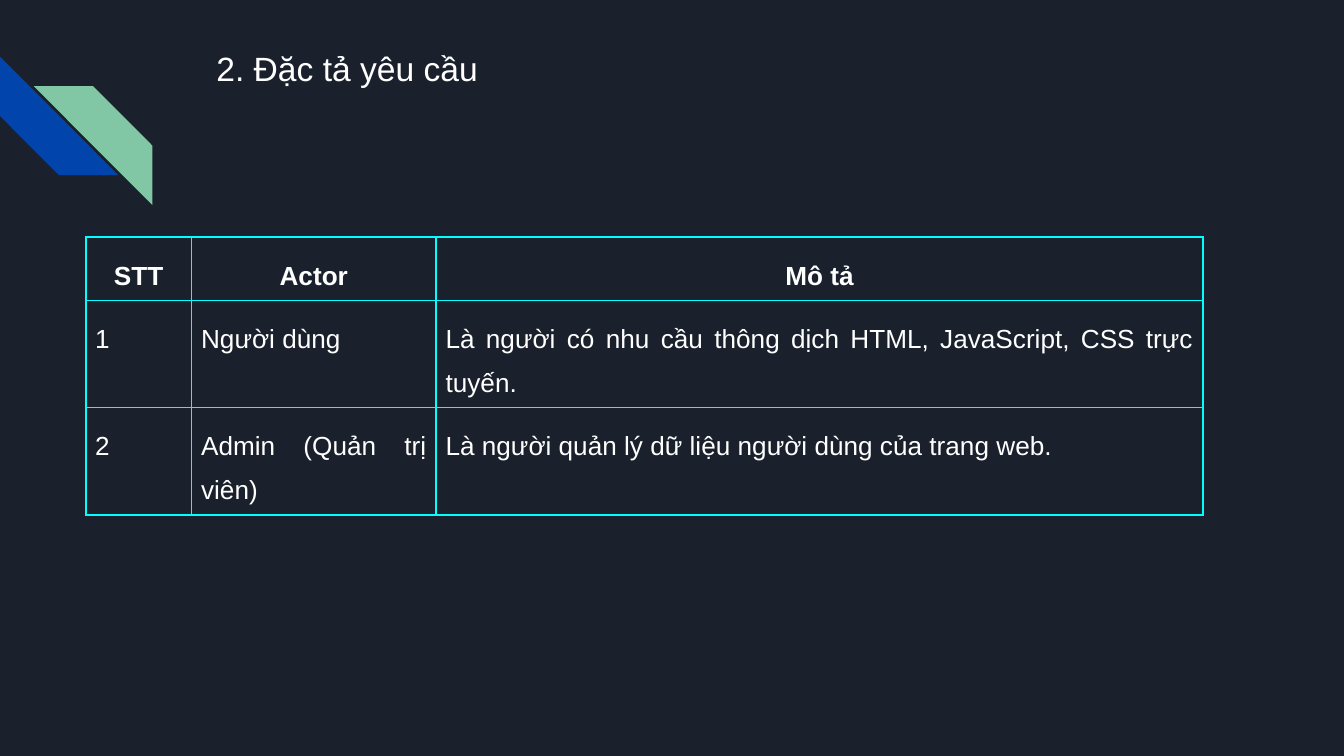
"""Build the requirements slide with its table of actors."""
from dataclasses import dataclass

from lxml import etree
from pptx import Presentation
from pptx.dml.color import RGBColor
from pptx.enum.shapes import MSO_SHAPE
from pptx.enum.text import MSO_ANCHOR, MSO_AUTO_SIZE, PP_ALIGN
from pptx.oxml.ns import qn
from pptx.util import Cm, Pt

STRIPE = MSO_SHAPE.DIAGONAL_STRIPE
TOP = MSO_ANCHOR.TOP
NO_AUTOFIT = MSO_AUTO_SIZE.NONE
LEFT, CENTER, JUSTIFY = PP_ALIGN.LEFT, PP_ALIGN.CENTER, PP_ALIGN.JUSTIFY


@dataclass(frozen=True)
class Theme:
    """Colours, font and type sizes of the slide."""
    background: str = "1B212C"
    text: str = "FFFFFF"
    blue: str = "0145AC"
    green: str = "82C7A5"
    border: str = "00FFFF"
    font: str = "Arial"
    title_size: int = 18
    table_size: int = 14
    border_width: int = 1


THEME = Theme()


def format_paragraph(paragraph, size, align, bold=False):
    """Apply the common font and the given alignment to a paragraph."""
    paragraph.alignment = align
    paragraph.font.name = THEME.font
    paragraph.font.size = Pt(size)
    paragraph.font.bold = bold
    paragraph.font.color.rgb = RGBColor.from_string(THEME.text)


def add_borders(cell):
    """Draw a solid line on all four sides of a cell."""
    properties = cell._tc.get_or_add_tcPr()
    for side in ("a:lnL", "a:lnR", "a:lnT", "a:lnB"):
        line = etree.SubElement(properties, qn(side), w=str(Pt(THEME.border_width)))
        fill = etree.SubElement(line, qn("a:solidFill"))
        etree.SubElement(fill, qn("a:srgbClr"), val=THEME.border)


presentation = Presentation()
presentation.slide_width = Cm(25.4)
presentation.slide_height = Cm(14.28)
slide = presentation.slides.add_slide(presentation.slide_layouts[5])
slide.background.fill.solid()
slide.background.fill.fore_color.rgb = RGBColor.from_string(THEME.background)

blue_stripe = slide.shapes.add_shape(STRIPE, Cm(0), Cm(1.07), Cm(2.24), Cm(2.24))
blue_stripe.rotation = 270
green_stripe = slide.shapes.add_shape(STRIPE, Cm(0.64), Cm(1.63), Cm(2.24), Cm(2.24))
green_stripe._element.spPr.get_or_add_xfrm().set("flipH", "1")
for stripe, color in ((blue_stripe, THEME.blue), (green_stripe, THEME.green)):
    stripe.adjustments[0] = 0.5
    stripe.shadow.inherit = False
    stripe.fill.solid()
    stripe.fill.fore_color.rgb = RGBColor.from_string(color)
    stripe.line.fill.background()

heading = slide.shapes.title
heading.left, heading.top, heading.width, heading.height = Cm(3.84), Cm(0.66), Cm(17.98), Cm(1.65)
heading_frame = heading.text_frame
heading_frame.text = "2. Đặc tả yêu cầu"
heading_frame.auto_size = NO_AUTOFIT
heading_frame.vertical_anchor = TOP
heading_frame.margin_left = heading_frame.margin_right = Cm(0.25)
heading_frame.margin_top = heading_frame.margin_bottom = Cm(0.25)
format_paragraph(heading_frame.paragraphs[0], THEME.title_size, LEFT)

actor_rows = [
    ("STT", "Actor", "Mô tả"),
    ("1", "Người dùng", "Là người có nhu cầu thông dịch HTML, JavaScript, CSS trực tuyến."),
    ("2", "Admin (Quản trị viên)", "Là người quản lý dữ liệu người dùng của trang web."),
]
column_widths = [Cm(2), Cm(4.62), Cm(14.5)]
row_heights = [Cm(1.19), Cm(2.02), Cm(2.02)]
actors = slide.shapes.add_table(
    len(row_heights), len(column_widths), Cm(1.62), Cm(4.48), sum(column_widths), sum(row_heights)
).table
actors.first_row = actors.horz_banding = False
for column, width in zip(actors.columns, column_widths):
    column.width = width
for row_index, (row, height, entries) in enumerate(zip(actors.rows, row_heights, actor_rows)):
    row.height = height
    is_header = row_index == 0
    for cell, entry in zip(row.cells, entries):
        cell.text = entry
        cell.vertical_anchor = TOP
        cell.margin_left = cell.margin_right = Cm(0.18)
        cell.margin_top = cell.margin_bottom = Cm(0.18)
        add_borders(cell)
        cell.fill.background()
        paragraph = cell.text_frame.paragraphs[0]
        paragraph.line_spacing = 1.5
        format_paragraph(paragraph, THEME.table_size, CENTER if is_header else JUSTIFY, is_header)

presentation.save("out.pptx")
